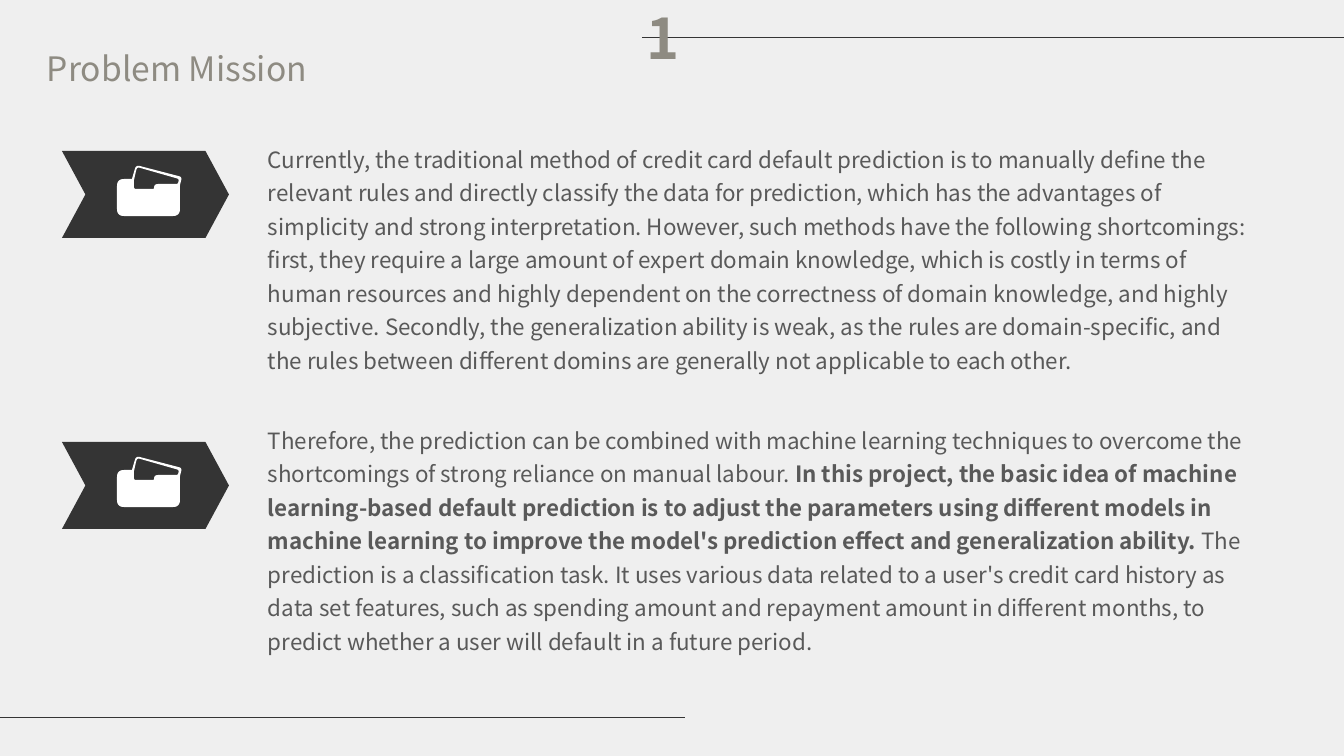
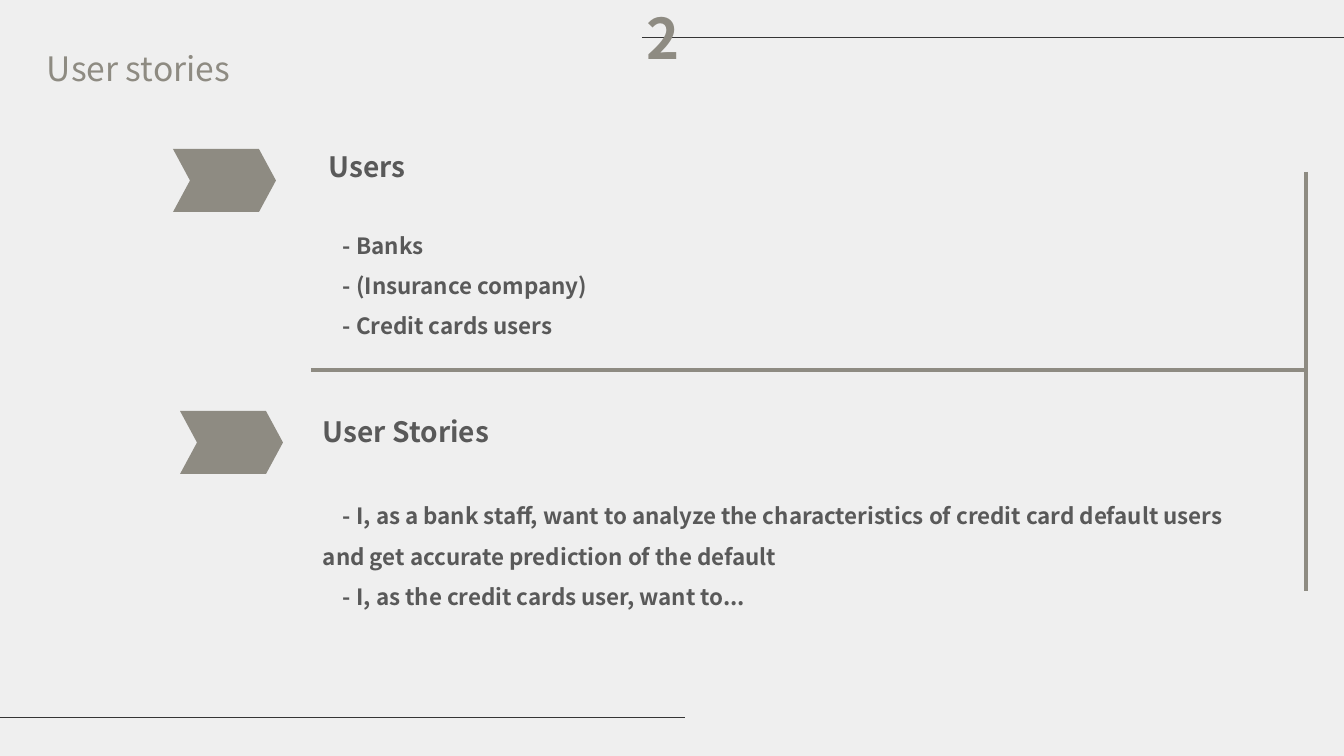
from math import hypot

from lxml import etree
from pptx import Presentation
from pptx.dml.color import RGBColor
from pptx.enum.shapes import MSO_CONNECTOR, MSO_SHAPE
from pptx.enum.text import MSO_ANCHOR
from pptx.oxml.ns import qn
from pptx.util import Emu, Pt

# Style
PAPER = RGBColor(0xEF, 0xEF, 0xEF)
DARK = RGBColor(0x34, 0x34, 0x34)
TAUPE = RGBColor(0x8E, 0x8B, 0x82)
GREY = RGBColor(0x59, 0x59, 0x59)
WHITE = RGBColor(0xFF, 0xFF, 0xFF)
FONT = "Noto Sans CJK SC"
WIDTH, HEIGHT = 1344, 756
SCALE = 12192000 / WIDTH

# Wallet icon: corners as (x, y, radius), outer edge and the opening of the card
WALLET = [
    [(0, 51, 7), (63, 51, 7), (63, 20, 1), (65, 12, 3), (19, 0, 4), (15, 14, 0), (0, 14, 7)],
    [(17, 15, 0), (20, 2, 3), (62, 14, 2), (61, 19, 2), (37, 19, 4), (37, 24, 1), (17, 24, 2)],
]


def px(n):
    return Emu(round(n * SCALE))


def round_corners(corners, steps=6):
    """Outline points with each corner replaced by a quadratic curve."""
    points = []
    for i, (x, y, radius) in enumerate(corners):
        if not radius:
            points.append((x, y))
            continue
        ends = []
        for nx, ny, _ in (corners[i - 1], corners[(i + 1) % len(corners)]):
            t = radius / hypot(nx - x, ny - y)
            ends.append((x + (nx - x) * t, y + (ny - y) * t))
        (ax, ay), (bx, by) = ends
        for k in range(steps + 1):
            t = k / steps
            a, m, b = (1 - t) ** 2, 2 * t * (1 - t), t * t
            points.append((a * ax + m * x + b * bx, a * ay + m * y + b * by))
    return points


class Deck:
    def __init__(self):
        self.prs = Presentation()
        self.prs.slide_width, self.prs.slide_height = px(WIDTH), px(HEIGHT)
        self.s = None

    def new_slide(self, number, title):
        self.s = self.prs.slides.add_slide(self.prs.slide_layouts[6])
        fill = self.s.background.fill
        fill.solid()
        fill.fore_color.rgb = PAPER
        self.line(0, 717, 685, 717)
        self.line(642, 37, WIDTH, 37)
        self.paragraph(self.text_box(37, 43, 418, 50), [title], 24, TAUPE)
        self.paragraph(self.text_box(637, -2, 48, 78), [str(number)], 40, TAUPE, bold=True)

    def line(self, x1, y1, x2, y2, color=DARK, width=0.5):
        c = self.s.shapes.add_connector(MSO_CONNECTOR.STRAIGHT, px(x1), px(y1), px(x2), px(y2))
        c.line.color.rgb = color
        c.line.width = Pt(width)
        etree.SubElement(c._element.spPr, qn("a:effectLst"))

    def paint(self, sp, color):
        sp.shadow.inherit = False
        sp.fill.solid()
        sp.fill.fore_color.rgb = color
        sp.line.fill.background()

    def chevron(self, x, y, w, h, color):
        sp = self.s.shapes.add_shape(MSO_SHAPE.CHEVRON, px(x), px(y), px(w), px(h))
        sp.adjustments[0] = 0.27
        self.paint(sp, color)

    def wallet(self, x, y):
        outlines = [[(px(x + dx), px(y + dy)) for dx, dy in round_corners(part)]
                    for part in WALLET]
        fb = self.s.shapes.build_freeform(*outlines[0][0])
        fb.add_line_segments(outlines[0][1:])
        for outline in outlines[1:]:
            fb.move_to(*outline[0])
            fb.add_line_segments(outline[1:])
        self.paint(fb.convert_to_shape(), WHITE)

    def text_box(self, x, y, w, h, inset=10):
        tf = self.s.shapes.add_textbox(px(x), px(y), px(w), px(h)).text_frame
        tf.word_wrap = True
        tf.vertical_anchor = MSO_ANCHOR.TOP
        tf.margin_left = tf.margin_right = px(inset)
        tf.margin_top = tf.margin_bottom = px(5)
        return tf

    def paragraph(self, tf, runs, size, color=GREY, bold=False, spacing=1.0, before=0, indent=0):
        """Add a paragraph; each second run is bold."""
        p = tf.paragraphs[0] if not tf.paragraphs[0].runs else tf.add_paragraph()
        p.line_spacing = spacing
        p.space_before = Pt(before)
        if indent:
            p._p.get_or_add_pPr().set("indent", str(px(indent)))
        p.font.name, p.font.size, p.font.bold = FONT, Pt(size), bold
        p.font.color.rgb = color
        for i, text in enumerate(runs):
            r = p.add_run()
            r.text = text
            if i % 2:
                r.font.bold = True

    def statement(self, y, h, chevron_y, runs):
        self.chevron(62, chevron_y, 167, 87, DARK)
        self.wallet(117, chevron_y + 14)
        self.paragraph(self.text_box(264, y, 993, h, inset=4), runs, 16, spacing=1.25)

    def topic(self, x, y, box, heading, heading_indent, gap, items):
        self.chevron(x, y, 103, 63, TAUPE)
        tf = self.text_box(*box, inset=4)
        self.paragraph(tf, [heading], 20, bold=True, spacing=1.5, indent=heading_indent)
        for i, item in enumerate(items):
            self.paragraph(tf, ["- " + item], 16, bold=True, spacing=1.5,
                           before=0 if i else gap, indent=20)


def main():
    deck = Deck()

    # Problem mission
    deck.new_slide(1, "Problem Mission")
    deck.statement(134, 281, 151, [
        "Currently, the traditional method of credit card default prediction is to manually "
        "define the relevant rules and directly classify the data for prediction, which has the "
        "advantages of simplicity and strong interpretation. However, such methods have the "
        "following shortcomings: first, they require a large amount of expert domain knowledge, "
        "which is costly in terms of human resources and highly dependent on the correctness of "
        "domain knowledge, and highly subjective. Secondly, the generalization ability is weak, "
        "as the rules are domain-specific, and the rules between different domins are generally "
        "not applicable to each other."])
    deck.statement(415, 248, 442, [
        "Therefore, the prediction can be combined with machine learning techniques to overcome "
        "the shortcomings of strong reliance on manual labour. ",
        "In this project, the basic idea of machine learning-based default prediction is to "
        "adjust the parameters using different models in machine learning to improve the model's "
        "prediction effect and generalization ability. ",
        "The prediction is a classification task. It uses various data related to a user's "
        "credit card history as data set features, such as spending amount and repayment amount "
        "in different months, to predict whether a user will default in a future period."])

    # User stories
    deck.new_slide(2, "User stories")
    deck.topic(173, 149, (319, 128, 890, 219), "Users", 6, 25,
               ["Banks", "(Insurance company)", "Credit cards users"])
    deck.topic(180, 411, (319, 393, 940, 224), "User Stories", 0, 29, [
        "I, as a bank staff, want to analyze the characteristics of credit card default users "
        "and get accurate prediction of the default",
        "I, as the credit cards user, want to..."])
    deck.line(1306, 172, 1306, 591, TAUPE, 3)
    deck.line(311, 370, 1306, 370, TAUPE, 3)

    deck.prs.save("out.pptx")


if __name__ == "__main__":
    main()
